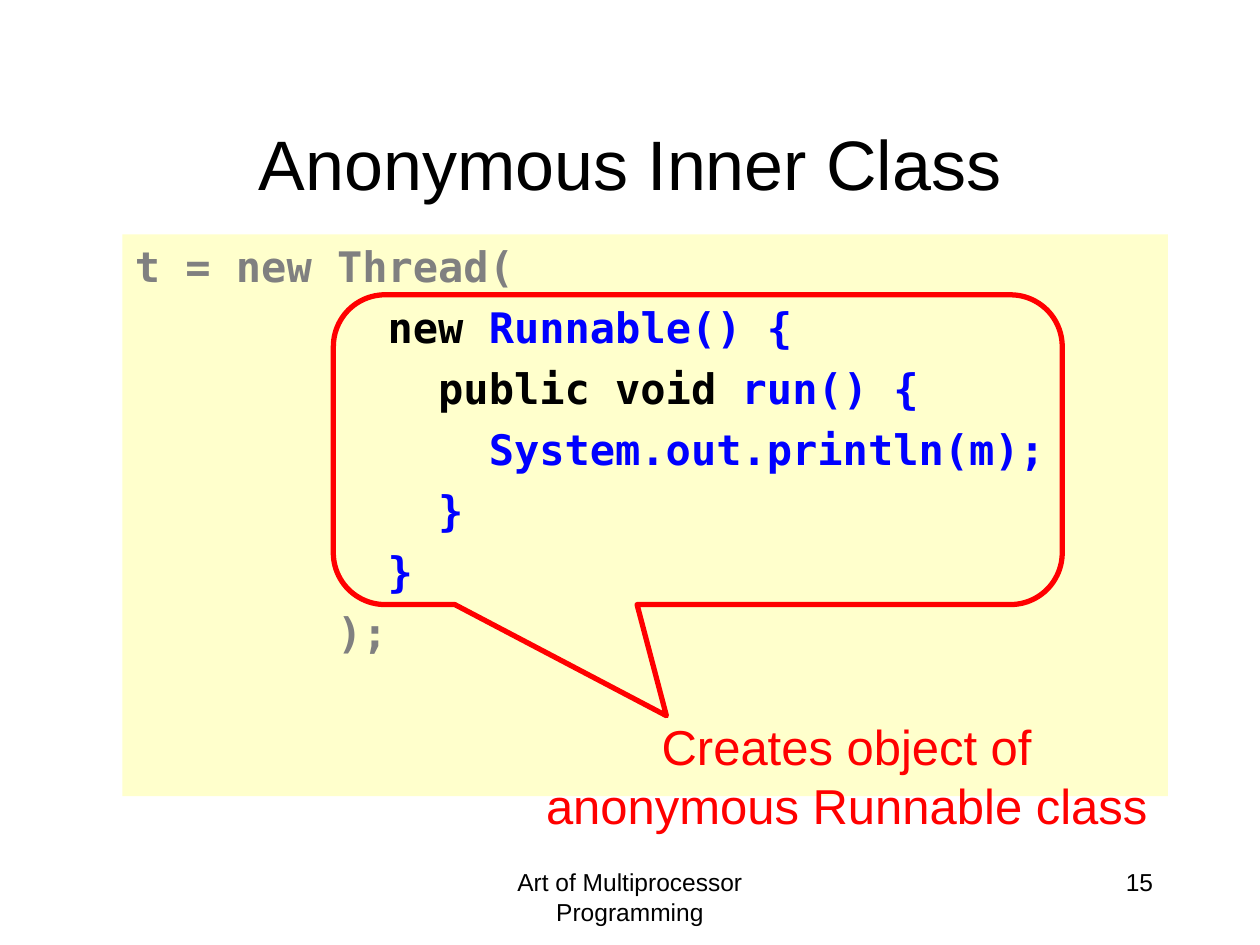
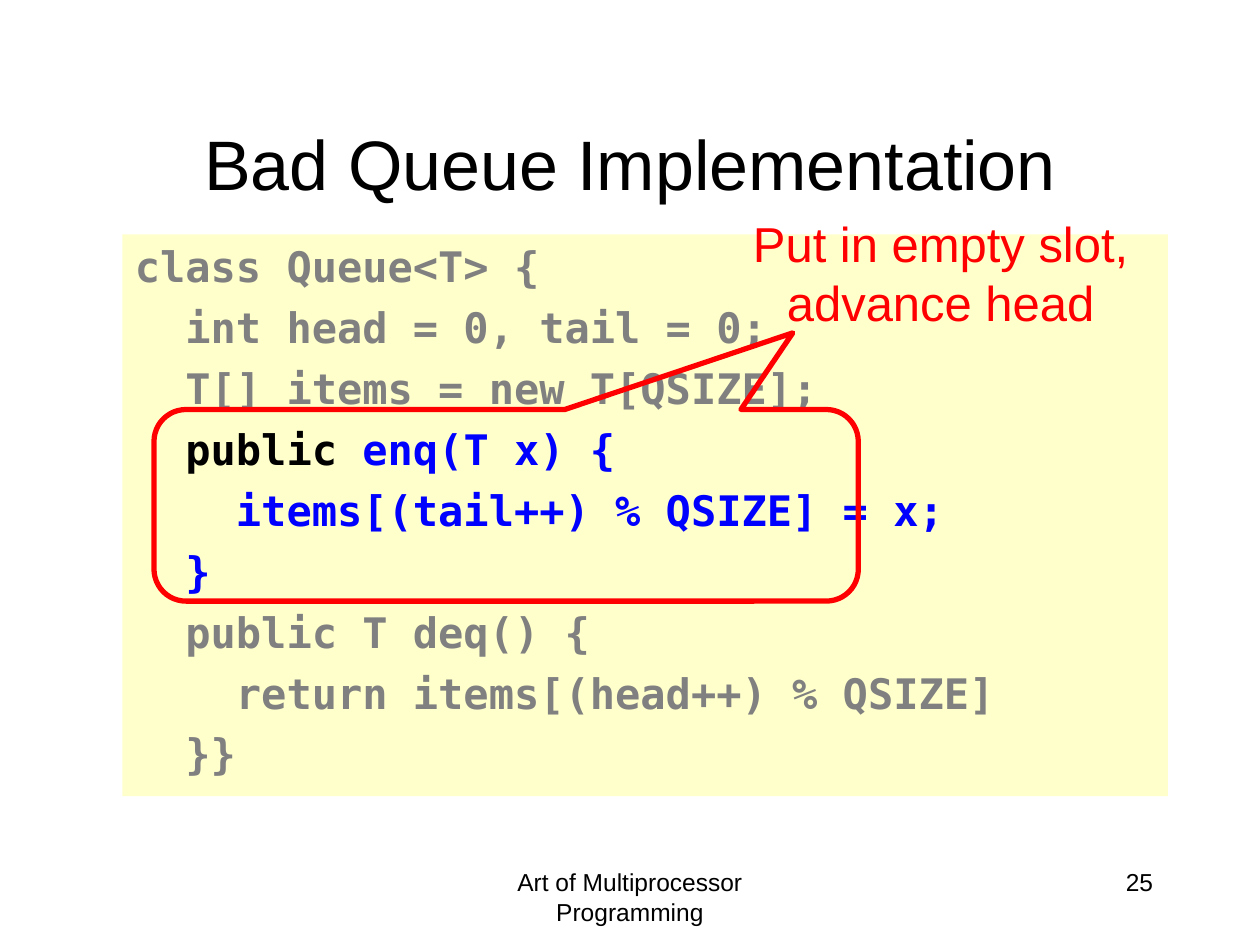
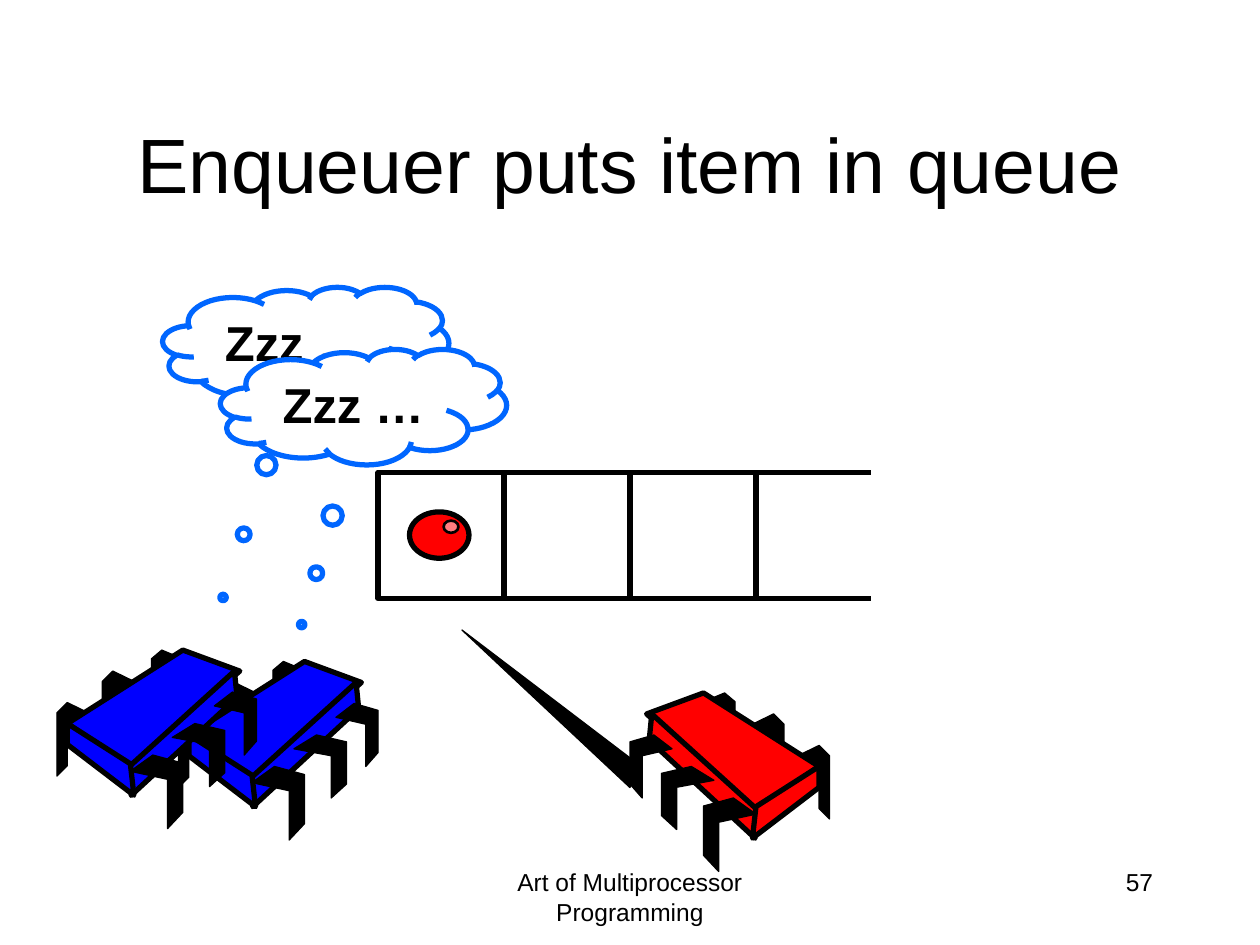
from lxml.etree import SubElement
from pptx import Presentation
from pptx.dml.color import RGBColor
from pptx.enum.shapes import MSO_CONNECTOR, MSO_SHAPE
from pptx.enum.text import MSO_ANCHOR, MSO_AUTO_SIZE, PP_ALIGN
from pptx.oxml.ns import qn
from pptx.util import Pt

BLACK = RGBColor(0x00, 0x00, 0x00)
WHITE = RGBColor(0xFF, 0xFF, 0xFF)
GRAY = RGBColor(0x80, 0x80, 0x80)
RED = RGBColor(0xFF, 0x00, 0x00)
PINK = RGBColor(0xFF, 0x7C, 0x80)
BLUE = RGBColor(0x00, 0x00, 0xFF)
CLOUD_BLUE = RGBColor(0x00, 0x66, 0xFF)
CREAM = RGBColor(0xFF, 0xFF, 0xCC)

TEXT_FONT = "Arial"
CODE_FONT = "DejaVu Sans Mono"
FOOTER = "Art of Multiprocessor Programming"

# Leg outlines as fractions of the leg's width and height
FAR_LEG = [(1, 0.14), (0.33, 0), (0, 0.14), (0, 1), (0.33, 0.86), (0.33, 0.29), (1, 0.43)]
NEAR_LEG = [(0.43, 0), (0, 0.22), (0.71, 0.33), (0.71, 1), (1, 0.78), (1, 0.11)]

# Left, top, width and height of each leg, in points from the bug's corner
FAR_LEGS = [(0, 30, 18, 42), (26, 12, 18, 42), (54, 0, 18, 36)]
NEAR_LEGS = [(42, 60, 30, 42), (66, 42, 30, 36), (90, 24, 24, 36)]

BODY_FACES = [
    [(72, 0), (6, 42), (42.5, 67), (104.5, 12)],
    [(101.5, 12), (42, 66), (42.5, 83), (103, 27)],
    [(6, 42), (6, 54), (44, 83), (42, 65)],
]

THREAD_CODE = [
    [("t = new Thread(", GRAY)],
    [("          new", BLACK), (" Runnable() {", BLUE)],
    [("            public void", BLACK), (" run() {", BLUE)],
    [("              System.out.println(m);", BLUE)],
    [("            }", BLUE)],
    [("          }", BLUE)],
    [("        );", GRAY)],
]
QUEUE_CODE = [
    [("class Queue<T> {", GRAY)],
    [("  int head = 0, tail = 0;", GRAY)],
    [("  T[] items = new T[QSIZE];", GRAY)],
    [("  public", BLACK), (" enq(T x) {", BLUE)],
    [("    items[(tail++) % QSIZE] = x;", BLUE)],
    [("  }", BLUE)],
    [("  public T deq() {", GRAY)],
    [("    return items[(head++) % QSIZE]", GRAY)],
    [("  }}", GRAY)],
]


class Lecture:
    def __init__(self):
        self.deck = Presentation()
        self.deck.slide_width, self.deck.slide_height = Pt(720), Pt(540)
        self.slide = None

    def style_font(self, font, size, color, bold=False, name=TEXT_FONT):
        font.name, font.size, font.bold = name, Pt(size), bold
        font.color.rgb = color

    def set_text(self, shape, text, size, color, align=PP_ALIGN.CENTER, bold=False):
        frame = shape.text_frame
        frame.text = text
        frame.word_wrap = True
        for para in frame.paragraphs:
            para.alignment = align
            for span in para.runs:
                self.style_font(span.font, size, color, bold)

    def add_page(self, title, number, title_size=40):
        self.slide = self.deck.slides.add_slide(self.deck.slide_layouts[5])
        box = self.slide.shapes.title
        box.left, box.top, box.width, box.height = Pt(54), Pt(48), Pt(612), Pt(90)
        self.set_text(box, title, title_size, BLACK)
        box.text_frame.vertical_anchor = MSO_ANCHOR.MIDDLE
        box.text_frame.auto_size = MSO_AUTO_SIZE.NONE
        self.label(FOOTER, 246, 492, 228, 36)
        self.label(str(number), 516, 492, 150, 36, align=PP_ALIGN.RIGHT)

    def label(self, text, left, top, width, height, size=14, color=BLACK,
              align=PP_ALIGN.CENTER):
        box = self.slide.shapes.add_textbox(Pt(left), Pt(top), Pt(width), Pt(height))
        self.set_text(box, text, size, color, align)

    def paint(self, shape, fill, line, weight):
        shape.shadow.inherit = False
        if fill is None:
            shape.fill.background()
        else:
            shape.fill.solid()
            shape.fill.fore_color.rgb = fill
        if line is None:
            shape.line.fill.background()
        else:
            shape.line.color.rgb = line
            shape.line.width = Pt(weight)

    def shape(self, kind, left, top, width, height, fill=None, line=BLACK,
              weight=3, adjustments=()):
        shape = self.slide.shapes.add_shape(kind, Pt(left), Pt(top), Pt(width), Pt(height))
        for index, value in enumerate(adjustments):
            shape.adjustments[index] = value
        self.paint(shape, fill, line, weight)
        return shape

    def code(self, lines):
        panel = self.shape(MSO_SHAPE.RECTANGLE, 70, 134, 597.5, 321, CREAM, None)
        frame = panel.text_frame
        frame.word_wrap = True
        frame.vertical_anchor = MSO_ANCHOR.TOP
        for index, spans in enumerate(lines):
            para = frame.add_paragraph() if index else frame.paragraphs[0]
            para.alignment = PP_ALIGN.LEFT
            if index:
                para.space_before = Pt(6)
            for text, color in spans:
                span = para.add_run()
                span.text = text
                self.style_font(span.font, 24, color, True, CODE_FONT)

    def callout(self, left, top, width, height, tip):
        self.shape(MSO_SHAPE.ROUNDED_RECTANGULAR_CALLOUT, left, top, width, height,
                   line=RED, adjustments=(*tip, 0.167))

    def cloud(self, left, top, tip, fill=None):
        cloud = self.shape(MSO_SHAPE.CLOUD_CALLOUT, left, top, 163.5, 66, fill,
                           CLOUD_BLUE, adjustments=tip)
        self.set_text(cloud, "Zzz …", 28, BLACK, bold=True)
        cloud.text_frame.vertical_anchor = MSO_ANCHOR.MIDDLE

    def line(self, left, right, y):
        line = self.slide.shapes.add_connector(
            MSO_CONNECTOR.STRAIGHT, Pt(left), Pt(y), Pt(right), Pt(y))
        line.line.color.rgb = BLACK
        line.line.width = Pt(3)
        SubElement(line._element.spPr, qn("a:effectLst"))

    def polygon(self, shapes, points, fill=BLACK, weight=0.75):
        corners = [(Pt(x), Pt(y)) for x, y in points]
        builder = shapes.build_freeform(*corners[0])
        builder.add_line_segments(corners[1:], close=True)
        self.paint(builder.convert_to_shape(), fill, BLACK, weight)

    def bug(self, left, top, color, direction=1):
        """Draw a bug from its corner; direction -1 mirrors it to the left."""
        group = self.slide.shapes.add_group_shape()

        def part(points, *style):
            placed = [(left + direction * x, top + y) for x, y in points]
            self.polygon(group.shapes, placed, *style)

        def legs(outline, boxes):
            for x, y, width, height in boxes:
                part([(x + width * across, y + height * down) for across, down in outline])

        legs(FAR_LEG, FAR_LEGS)
        for face in BODY_FACES:
            part(face, color, 3)
        legs(NEAR_LEG, NEAR_LEGS)


def main():
    lecture = Lecture()

    lecture.add_page("Anonymous Inner Class", 15)
    lecture.code(THREAD_CODE)
    lecture.callout(190.5, 168.5, 416.5, 177, (-0.043, 0.859))
    lecture.label("Creates object of anonymous Runnable class",
                  304.5, 406, 358.5, 75, 28, RED)

    lecture.add_page("Bad Queue Implementation", 25)
    lecture.code(QUEUE_CODE)
    lecture.callout(88, 234, 402.5, 109.5, (0.407, -0.9))
    lecture.label("Put in empty slot,\nadvance head", 355, 118.5, 365, 75, 28, RED)

    lecture.add_page("Enqueuer puts item in queue", 57, 44)
    lecture.shape(MSO_SHAPE.OVAL, 234, 292.5, 34, 26.5, RED)
    lecture.shape(MSO_SHAPE.OVAL, 253.5, 297.5, 8.5, 7, PINK, weight=1.5)
    slot, queue_left, queue_top = 72, 216, 270
    for index in range(3):
        lecture.shape(MSO_SHAPE.RECTANGLE, queue_left + index * slot, queue_top, slot, slot)
    for y in (queue_top, queue_top + slot):
        lecture.line(426, 498, y)
    lecture.bug(474, 396, RED, -1)
    lecture.polygon(lecture.slide.shapes, [(360, 450), (366.5, 438), (264, 360)])
    lecture.bug(102, 378, BLUE)
    lecture.bug(32.5, 371.5, BLUE)
    lecture.cloud(93, 164, (-0.289, 2.189))
    lecture.cloud(126, 199.5, (-0.216, 1.886), WHITE)

    lecture.deck.save("out.pptx")


if __name__ == "__main__":
    main()
